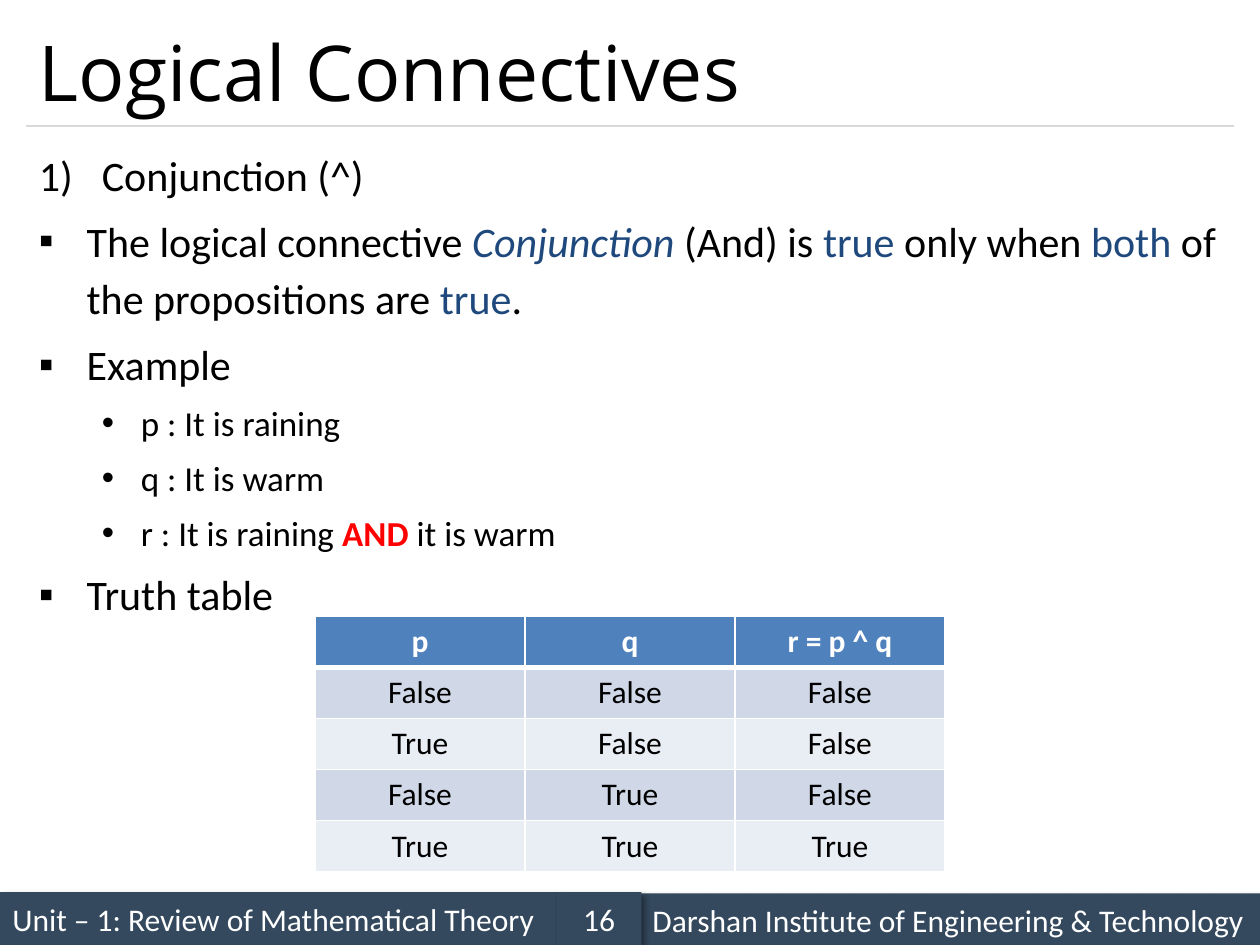
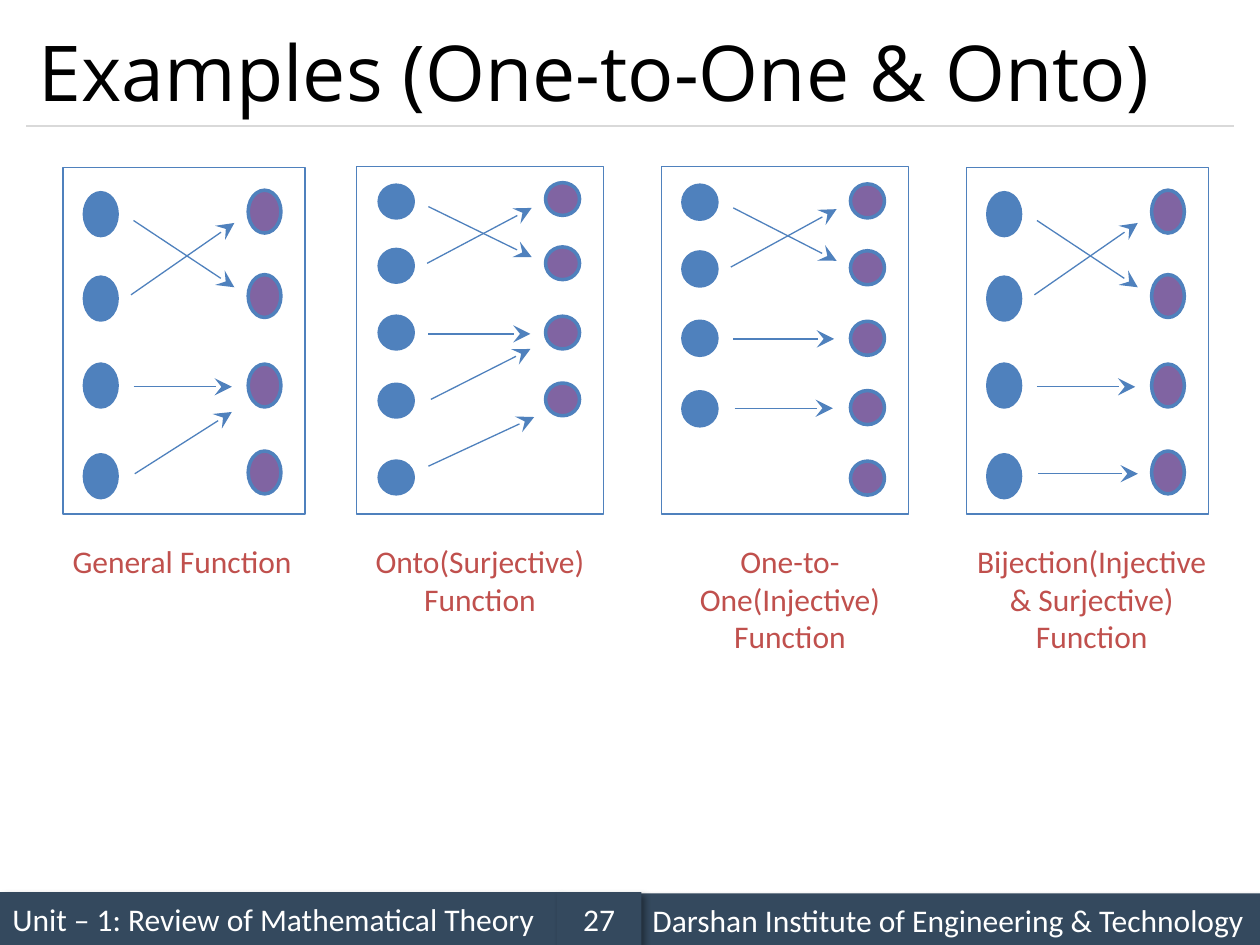
"""Build the logical connectives and function examples slides."""
from lxml import etree
from pptx import Presentation
from pptx.dml.color import RGBColor
from pptx.enum.shapes import MSO_CONNECTOR, MSO_SHAPE
from pptx.enum.text import MSO_ANCHOR, PP_ALIGN
from pptx.oxml.ns import qn
from pptx.util import Inches, Pt

RECT = MSO_SHAPE.RECTANGLE
OVAL = MSO_SHAPE.OVAL
LINE = MSO_CONNECTOR.STRAIGHT
MID = MSO_ANCHOR.MIDDLE
LEFT = PP_ALIGN.LEFT
CENTER = PP_ALIGN.CENTER

BAND = "34495E"
RULE = "D9D9D9"
BLUE = "4F81BD"
PURPLE = "8064A2"
WHITE = "FFFFFF"
BLACK = "000000"
NAVY = "1F497D"
RED = "FF0000"
BRICK = "C0504D"


def hue(code):
    return RGBColor.from_string(code)


def write(para, text, code=BLACK, **style):
    run = para.add_run()
    run.text = text
    run.font.color.rgb = hue(code)
    for key, val in ({"name": "Calibri", "size": Pt(18)} | style).items():
        setattr(run.font, key, val)


deck = Presentation()
deck.slide_width = Inches(10)
deck.slide_height = Inches(7.5)

slides = []
for title, page in [("Logical Connectives", "16"), ("Examples (One-to-One & Onto)", "27")]:
    slide = deck.slides.add_slide(deck.slide_layouts[6])
    slides.append(slide)

    bands = [
        (0, 7.08, 4.42, "Unit – 1: Review of Mathematical Theory", LEFT),
        (5.08, 7.09, 4.92, "Darshan Institute of Engineering & Technology", LEFT),
        (4.42, 7.08, 0.67, page, CENTER),
    ]
    for x, y, wide, text, side in bands:
        band = slide.shapes.add_shape(RECT, Inches(x), Inches(y), Inches(wide), Inches(0.42))
        band.fill.solid()
        band.fill.fore_color.rgb = hue(BAND)
        band.line.fill.background()
        band.shadow.inherit = False
        glow = band.element.spPr.find(qn("a:effectLst"))
        shade = etree.SubElement(glow, qn("a:outerShdw"), blurRad="50800", dist="38100",
                                 dir="2700000", algn="tl", rotWithShape="0")
        tone = etree.SubElement(shade, qn("a:srgbClr"), val=BLACK)
        etree.SubElement(tone, qn("a:alpha"), val="40000")
        frame = band.text_frame
        frame.word_wrap = True
        frame.vertical_anchor = MID
        frame.paragraphs[0].alignment = side
        write(frame.paragraphs[0], text, WHITE)

    rule = slide.shapes.add_connector(LINE, Inches(0.21), Inches(1), Inches(9.79), Inches(1))
    rule.line.color.rgb = hue(RULE)
    rule.line.width = Pt(0.75)
    etree.SubElement(rule.element.spPr, qn("a:effectLst"))

    head = slide.shapes.add_textbox(Inches(0.21), Inches(0.12), Inches(9.58), Inches(0.88))
    head.text_frame.word_wrap = True
    head.text_frame.vertical_anchor = MID
    write(head.text_frame.paragraphs[0], title, name="Open Sans", size=Pt(44))

logic, funcs = slides

LEVELS = {
    "num": (24, 0.5, 0.5, "buAutoNum", {"type": "arabicParenR"}),
    "main": (24, 0.38, 0.38, "buChar", {"char": "▪"}),
    "sub": (20, 0.81, 0.31, "buChar", {"char": "•"}),
}
lines = [
    ("num", [("Conjunction (^)", {})]),
    ("main", [
        ("The logical connective ", {}),
        ("Conjunction", {"code": NAVY, "italic": True}),
        (" (And) is ", {}),
        ("true", {"code": NAVY}),
        (" only when ", {}),
        ("both", {"code": NAVY}),
        (" of the propositions are ", {}),
        ("true", {"code": NAVY}),
        (".", {}),
    ]),
    ("main", [("Example", {})]),
    ("sub", [("p : It is raining", {})]),
    ("sub", [("q : It is warm", {})]),
    ("sub", [
        ("r : It is raining ", {}),
        ("AND", {"code": RED, "bold": True}),
        (" it is warm", {}),
    ]),
    ("main", [("Truth table", {})]),
]
body = logic.shapes.add_textbox(Inches(0.21), Inches(1.08), Inches(9.58), Inches(5.83))
frame = body.text_frame
frame.word_wrap = True
for i, (level, runs) in enumerate(lines):
    size, margin, hang, tag, mark = LEVELS[level]
    para = frame.add_paragraph() if i else frame.paragraphs[0]
    props = para._p.get_or_add_pPr()
    props.set("marL", str(Inches(margin)))
    props.set("indent", str(-Inches(hang)))
    etree.SubElement(props, qn("a:buFont"), typeface="Arial")
    etree.SubElement(props, qn("a:" + tag), mark)
    para.line_spacing = 1.14
    para.space_before = Pt(size * 0.2 if i else 0)
    for text, style in runs:
        write(para, text, size=Pt(size), **style)

rows = [
    ("p", "q", "r = p ^ q"),
    ("False", "False", "False"),
    ("True", "False", "False"),
    ("False", "True", "False"),
    ("True", "True", "True"),
]
table = logic.shapes.add_table(5, 3, Inches(2.5), Inches(4.89), Inches(5), Inches(2.03)).table
for r, row in enumerate(rows):
    for c, text in enumerate(row):
        cell = table.cell(r, c)
        props = cell._tc.get_or_add_tcPr()
        for edge in "LRTB":
            thick = 3 if (r, edge) in [(0, "B"), (1, "T")] else 1
            line = etree.SubElement(props, qn("a:ln" + edge), w=str(Pt(thick)))
            fill = etree.SubElement(line, qn("a:solidFill"))
            etree.SubElement(fill, qn("a:srgbClr"), val=WHITE)
        cell.fill.solid()
        cell.fill.fore_color.rgb = hue(("E9EDF4", "D0D8E8")[r % 2] if r else BLUE)
        para = cell.text_frame.paragraphs[0]
        para.alignment = CENTER
        write(para, text, BLACK if r else WHITE, bold=not r)

TALL = {"top": 1.33, "wide": 1.92, "oval": (0.26, 0.34), "cols": (0.17, 1.47),
        "dots": ((1.53, 2.2, 2.89, 3.61), (1.51, 2.18, 2.89, 3.58))}
ROUND = {"top": 1.32, "wide": 1.96, "oval": (0.27, 0.26), "cols": (0.18, 1.5)}
CROSS = [(0.56, 1.75, 1.36, 2.28), (0.54, 2.34, 1.36, 1.77), (0.56, 3.07, 1.34, 3.07)]
panels = [
    TALL | {"x": 0.5, "arrows": CROSS + [(0.57, 3.76, 1.34, 3.27)]},
    ROUND | {
        "x": 2.83,
        "dots": ((1.47, 1.98, 2.51, 3.05, 3.66), (1.45, 1.96, 2.51, 3.04)),
        "arrows": [(0.57, 1.64, 1.39, 2.04), (0.56, 2.09, 1.39, 1.65), (0.57, 2.65, 1.38, 2.65),
                   (0.59, 3.17, 1.38, 2.77), (0.57, 3.7, 1.41, 3.31)],
    },
    ROUND | {
        "x": 5.25,
        "oval": (0.27, 0.27),
        "cols": (0.17, 1.5),
        "dots": ((1.47, 2, 2.55, 3.11), (1.46, 1.99, 2.55, 3.1, 3.66)),
        "arrows": [(0.57, 1.65, 1.39, 2.07), (0.55, 2.12, 1.39, 1.66),
                   (0.57, 2.69, 1.37, 2.69), (0.58, 3.24, 1.36, 3.24)],
    },
    TALL | {"x": 7.67, "arrows": CROSS + [(0.57, 3.76, 1.36, 3.76)]},
]
for panel in panels:
    x, top = panel["x"], panel["top"]
    group = funcs.shapes.add_group_shape().shapes
    box = group.add_shape(RECT, Inches(x), Inches(top), Inches(panel["wide"]), Inches(4.08 - top))
    box.fill.background()
    box.line.color.rgb = hue(BLUE)
    box.line.width = Pt(0.75)
    box.shadow.inherit = False
    wide, high = panel["oval"]
    for col, dots, code in zip(panel["cols"], panel["dots"], (BLUE, PURPLE)):
        for y in dots:
            dot = group.add_shape(OVAL, Inches(x + col), Inches(y), Inches(wide), Inches(high))
            dot.fill.solid()
            dot.fill.fore_color.rgb = hue(code)
            dot.line.color.rgb = hue(BLUE)
            dot.line.width = Pt(2)
            dot.shadow.inherit = False
    for x1, y1, x2, y2 in panel["arrows"]:
        arrow = group.add_connector(LINE, Inches(x + x1), Inches(y1), Inches(x + x2), Inches(y2))
        arrow.line.color.rgb = hue(BLUE)
        arrow.line.width = Pt(0.75)
        props = arrow.element.spPr
        etree.SubElement(props.find(qn("a:ln")), qn("a:tailEnd"), type="stealth", w="lg", len="lg")
        etree.SubElement(props, qn("a:effectLst"))

names = [
    (0.45, 1.99, 0.4, "General Function"),
    (2.83, 1.96, 0.71, "Onto(Surjective) Function"),
    (5.29, 1.96, 1.01, "One-to-One(Injective) Function"),
    (7.58, 2.17, 1.01, "Bijection(Injective & Surjective) Function"),
]
for x, wide, high, text in names:
    label = funcs.shapes.add_textbox(Inches(x), Inches(4.25), Inches(wide), Inches(high))
    label.text_frame.word_wrap = True
    para = label.text_frame.paragraphs[0]
    para.alignment = CENTER
    write(para, text, BRICK)

deck.save("out.pptx")
